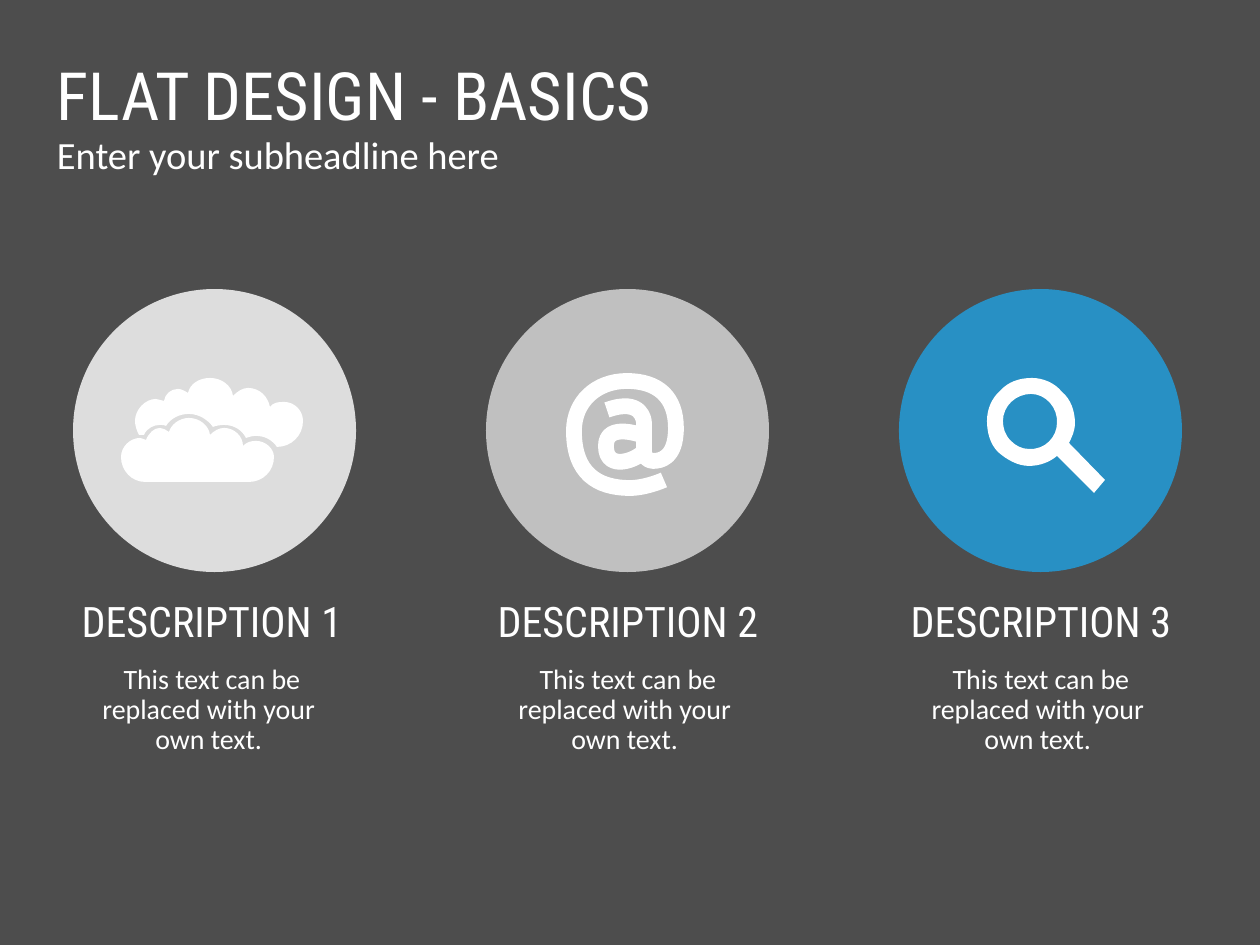
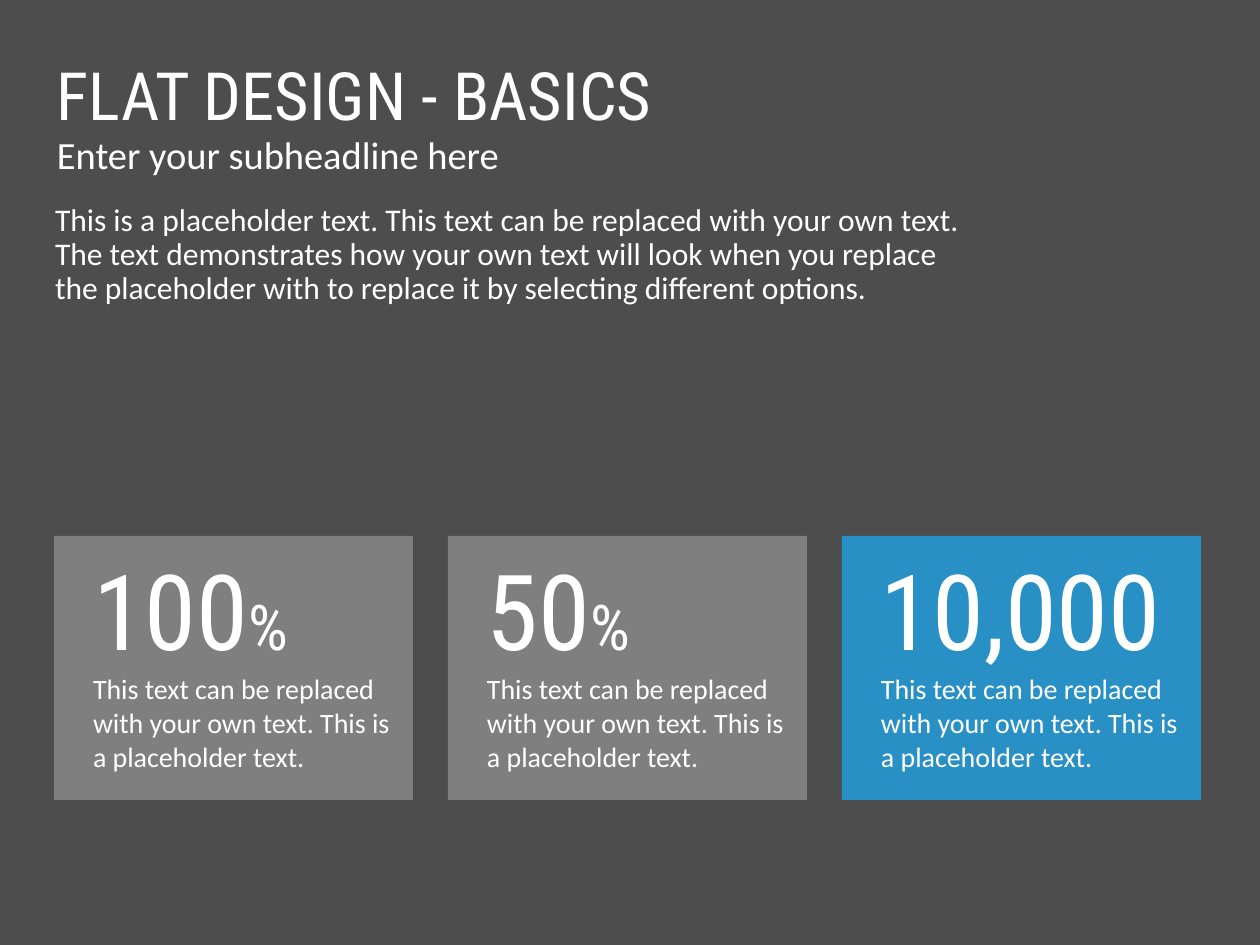
import pptx
import pptx.dml.color
import pptx.enum.shapes
import pptx.enum.text
import pptx.oxml.ns
import pptx.util
from lxml import etree

PX = 914400 // 126
WIDTH, HEIGHT = 1260, 945
HEAD, BODY = "Roboto Condensed", "Calibri"
DARK, WHITE, BLUE = "4D4D4D", "FFFFFF", "2890C4"
PALE, SILVER, GREY = "DDDDDD", "C0C0C0", "7F7F7F"
SHAPE = pptx.enum.shapes.MSO_SHAPE
ALIGN = pptx.enum.text.PP_ALIGN

# Outlines are lists of contours: a start point, then line ends (2 numbers)
# or Bézier segments (6 numbers), in px from the circle's top left corner.
FRONT_CLOUD = [
    (116, 129), (127, 129, 136, 137, 137, 146), (141, 142, 146, 139, 151, 139),
    (161, 139, 170, 147, 170, 157), (174, 153, 178, 152, 183, 152),
    (193, 152, 201, 160, 201, 168), (201, 182, 190, 193, 176, 193), (72, 193),
    (59, 193, 48, 182, 48, 168), (48, 158, 57, 149, 67, 149),
    (69, 149, 72, 151, 73, 151), (76, 144, 81, 139, 87, 139),
    (90, 139, 93, 141, 96, 143), (98, 136, 106, 129, 116, 129)]
BACK_CLOUD = [
    (137, 89), (149, 89, 159, 97, 160, 107), (164, 103, 169, 99, 175, 99),
    (187, 99, 195, 108, 197, 118), (200, 114, 204, 113, 211, 113),
    (222, 113, 230, 122, 230, 132), (230, 147, 218, 158, 204, 158),
    (199, 151, 192, 147, 183, 147), (179, 147, 176, 148, 173, 149),
    (169, 141, 161, 136, 151, 136), (147, 136, 142, 137, 140, 138),
    (135, 131, 126, 125, 116, 125), (107, 125, 98, 129, 93, 137),
    (92, 136, 90, 136, 87, 136), (81, 136, 74, 139, 71, 146), (66, 146),
    (64, 142, 62, 137, 62, 132), (62, 121, 72, 110, 83, 110),
    (86, 110, 88, 112, 91, 112), (92, 105, 98, 100, 105, 100),
    (108, 100, 112, 102, 115, 104), (117, 95, 126, 89, 137, 89)]
AT_RING = [
    (178, 191), (178, 191, 160, 199, 144, 199), (111, 199, 88, 184, 88, 142),
    (88, 113, 110, 92, 141, 92), (172, 92, 190, 108, 190, 139),
    (190, 170, 174, 172, 167, 172), (162, 172, 158, 168, 158, 162),
    (158, 133), (158, 133, 157, 108, 121, 121)]
AT_BOWL = [(158, 147), (158, 147, 120, 132, 120, 157),
           (120, 184, 153, 170, 158, 162)]
GLASS_RIM = [
    (206, 191), (170, 154), (173, 148, 176, 142, 176, 134),
    (176, 123, 172, 110, 163, 103), (156, 94, 144, 89, 133, 89),
    (120, 89, 109, 93, 101, 102), (93, 109, 88, 120, 88, 132),
    (88, 143, 91, 155, 99, 163), (108, 171, 119, 177, 130, 177),
    (141, 177, 151, 173, 158, 167), (195, 204)]
GLASS_HOLE = [
    (130, 160), (123, 160, 117, 157, 112, 152), (106, 146, 104, 139, 104, 132),
    (104, 117, 117, 105, 132, 105), (147, 105, 159, 119, 158, 134),
    (158, 148, 146, 161, 130, 160)]


def px(*lengths):
    return [length * PX for length in lengths]


def rgb(color):
    return pptx.dml.color.RGBColor.from_string(color)


def fill(sp, color):
    sp.shadow.inherit = False
    sp.fill.solid()
    sp.fill.fore_color.rgb = rgb(color)
    sp.line.fill.background()


def add_shape(slide, kind, box, color):
    sp = slide.shapes.add_shape(kind, *px(*box))
    fill(sp, color)
    return sp


def setup_frame(sp, insets):
    tf = sp.text_frame
    tf.word_wrap = True
    tf.vertical_anchor = pptx.enum.text.MSO_ANCHOR.TOP
    tf.margin_left, tf.margin_top, tf.margin_right, tf.margin_bottom = px(*insets)
    return tf


def add_text(slide, box, insets=(0, 6, 13, 6)):
    return setup_frame(slide.shapes.add_textbox(*px(*box)), insets)


def add_run(p, text, font, size):
    """Add text to a paragraph, with a line break at each newline."""
    for i, line in enumerate(text.split("\n")):
        if i:
            p.add_line_break()
        if line:
            r = p.add_run()
            r.text = line
            r.font.name, r.font.size = font, pptx.util.Pt(size)
            r.font.color.rgb = rgb(WHITE)


def bend_segments(sp, segments):
    """Turn the straight segments that have control points into Béziers."""
    qn = pptx.oxml.ns.qn
    for line, segment in zip(list(sp._element.iter(qn("a:lnTo"))), segments):
        if len(segment) == 2:
            continue
        line.tag = qn("a:cubicBezTo")
        for pt in list(line):
            line.remove(pt)
        for x, y in zip(segment[::2], segment[1::2]):
            etree.SubElement(line, qn("a:pt"), x=str(x * PX - sp.left),
                             y=str(y * PX - sp.top))


def add_outline(slide, left, top, contours, close=True):
    (x, y), *_ = contours[0]
    fb = slide.shapes.build_freeform(*px(x, y))
    for n, (start, *segments) in enumerate(contours):
        if n:
            fb.move_to(*px(*start))
        fb.add_line_segments([px(*s[-2:]) for s in segments], close=close)
    sp = fb.convert_to_shape()
    bend_segments(sp, [s for contour in contours for s in contour[1:]])
    sp.left += left * PX
    sp.top += top * PX
    fill(sp, WHITE)
    return sp


def add_clouds(slide, left, top):
    add_outline(slide, left, top, [FRONT_CLOUD, BACK_CLOUD])


def add_at_sign(slide, left, top):
    sp = add_outline(slide, left, top, [AT_RING, AT_BOWL], close=False)
    sp.fill.background()
    sp.line.color.rgb = rgb(WHITE)
    sp.line.width = pptx.util.Pt(9)


def add_magnifier(slide, left, top):
    add_outline(slide, left, top, [GLASS_RIM, GLASS_HOLE])


def add_base_slide(prs):
    """Add a blank slide with the dark ground, title and subheadline."""
    slide = prs.slides.add_slide(prs.slide_layouts[6])
    add_shape(slide, SHAPE.RECTANGLE, (0, 0, WIDTH, HEIGHT), DARK)
    for text, font, size, top, height in (
            ("FLAT DESIGN - BASICS", HEAD, 38, 57, 147),
            ("Enter your subheadline here", BODY, 22, 130, 74)):
        p = add_text(slide, (57, top, 1147, height)).paragraphs[0]
        p.line_spacing = 0.9
        add_run(p, text, font, size)
    return slide


def add_icon_circle(slide, left, top, color, add_icon):
    add_shape(slide, SHAPE.OVAL, (left, top, 283, 283), color)
    add_icon(slide, left, top)


def add_description(slide, left, top, heading):
    tf = add_text(slide, (left, top, 292, 158), (13, 6, 13, 6))
    p = tf.paragraphs[0]
    p.line_spacing = 0.8
    add_run(p, heading, HEAD, 24)
    p = tf.add_paragraph()
    p.line_spacing = 0.9
    p.space_before = pptx.util.Pt(3.2)
    add_run(p, "This text can be replaced with your \nown text. ", BODY, 16)
    for p in tf.paragraphs:
        p.alignment = ALIGN.CENTER
        p.space_after = pptx.util.Pt(8)


def add_figure_card(slide, left, top, color, figure, unit):
    sp = add_shape(slide, SHAPE.RECTANGLE, (left, top, 359, 264), color)
    p = setup_frame(sp, (39, 10, 10, 6)).paragraphs[0]
    p.alignment = ALIGN.LEFT
    add_run(p, figure, HEAD, 60)
    add_run(p, unit, HEAD, 36)
    add_run(p, "\nThis text can be replaced with your own text. This is \n"
               "a placeholder text.", BODY, 16)


def build_descriptions(prs):
    slide = add_base_slide(prs)
    icons = ((PALE, add_clouds), (SILVER, add_at_sign), (BLUE, add_magnifier))
    for i, (color, add_icon) in enumerate(icons):
        add_icon_circle(slide, 73 + 413 * i, 289, color, add_icon)
    for i, left in enumerate((66, 482, 895), 1):
        add_description(slide, left, 599, f"DESCRIPTION {i}")


def build_figures(prs):
    slide = add_base_slide(prs)
    p = add_text(slide, (55, 204, 1116, 103), (0, 0, 0, 0)).paragraphs[0]
    p.line_spacing = 0.9
    p.space_after = pptx.util.Pt(8)
    add_run(p, "This is a placeholder text. This text can be replaced with your own text. \n"
               "The text demonstrates how your own text will look when you replace \n"
               "the placeholder with to replace it by selecting different options.",
            BODY, 18)
    cards = ((GREY, "100", "%"), (GREY, "50", "%"), (BLUE, "10,000", ""))
    for i, card in enumerate(cards):
        add_figure_card(slide, 54 + 394 * i, 536, *card)


def main():
    prs = pptx.Presentation()
    prs.slide_width, prs.slide_height = px(WIDTH, HEIGHT)
    build_descriptions(prs)
    build_figures(prs)
    prs.save("out.pptx")


if __name__ == "__main__":
    main()
